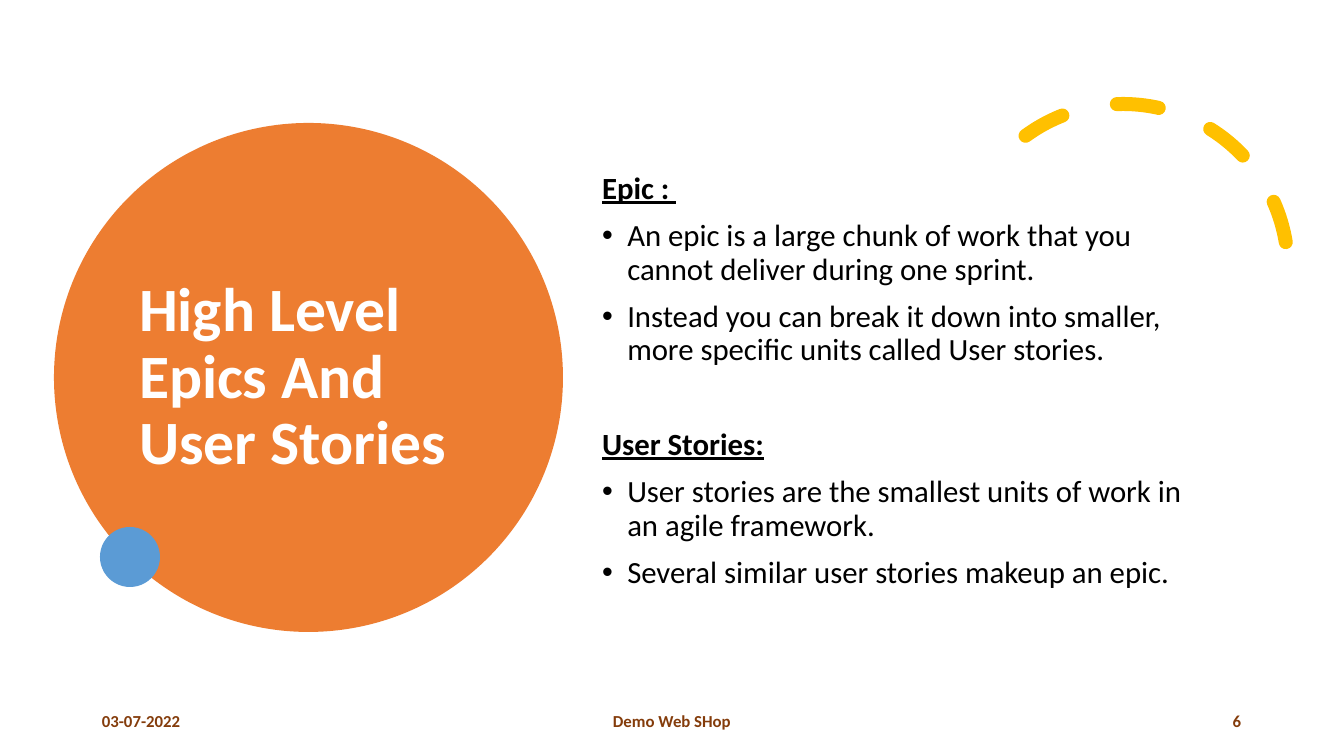
from lxml.etree import SubElement
from pptx import Presentation
from pptx.dml.color import RGBColor
from pptx.enum.dml import MSO_LINE
from pptx.enum.shapes import MSO_SHAPE
from pptx.enum.text import MSO_ANCHOR, MSO_AUTO_SIZE, PP_ALIGN
from pptx.oxml.ns import qn
from pptx.util import Emu, Pt

SCALE = 914400 / 100.8  # EMU per px


def px(*lengths):
    return [Emu(round(length * SCALE)) for length in lengths]


def write(paragraph, text, color, **font_values):
    """Add a Calibri run with the given colour and font attributes."""
    run = paragraph.add_run()
    run.text = text
    run.font.color.rgb = RGBColor.from_string(color)
    for name, value in {"name": "Calibri", **font_values}.items():
        setattr(run.font, name, value)


presentation = Presentation()
presentation.slide_width, presentation.slide_height = px(1344, 756)
slide = presentation.slides.add_slide(presentation.slide_layouts[1])
title, body = slide.placeholders

# Circles, the large one behind the title
circles = []
for left, top, diameter, color in [(54, 123, 509, "ED7D31"), (100, 527, 60, "5B9BD5")]:
    circle = slide.shapes.add_shape(MSO_SHAPE.OVAL, *px(left, top, diameter, diameter))
    circle.shadow.inherit = False
    circle.fill.solid()
    circle.fill.fore_color.rgb = RGBColor.from_string(color)
    circle.line.fill.background()
    circles.append(circle)
title.element.addprevious(circles[0].element)

# Dashed arc
arc = slide.shapes.add_shape(MSO_SHAPE.ARC, *px(958, 104, 330, 330))
arc.shadow.inherit = False
arc.rotation = 330.2
arc.adjustments[0], arc.adjustments[1] = 158.17, 17.81
arc.fill.background()
arc.line.color.rgb = RGBColor.from_string("FFC000")
arc.line.width = Pt(10)
arc.line.dash_style = MSO_LINE.DASH
arc.line._ln.set("cap", "rnd")

# Title and body
for placeholder, box, anchor in [
    (title, (129, 154, 357, 449), MSO_ANCHOR.MIDDLE),
    (body, (592, 168, 610, 433), MSO_ANCHOR.TOP),
]:
    placeholder.left, placeholder.top, placeholder.width, placeholder.height = px(*box)
    frame = placeholder.text_frame
    frame.word_wrap = True
    frame.auto_size = MSO_AUTO_SIZE.NONE
    frame.vertical_anchor = anchor

heading = title.text_frame.paragraphs[0]
heading.alignment = PP_ALIGN.LEFT
heading.line_spacing = 0.9
write(heading, "High Level Epics And User Stories", "FFFFFF", size=Pt(44), bold=True)

sections = [
    ("Epic : ", 10, [
        "An epic is a large chunk of work that you cannot deliver during one sprint.",
        "Instead you can break it down into smaller, more specific units called User stories.",
    ]),
    ("User Stories:", 44, [
        "User stories are the smallest units of work in an agile framework.",
        "Several similar user stories makeup an epic.",
    ]),
]
lines = []
for section, space, points in sections:
    lines.append((section, space, True))
    lines += [(point, 10, False) for point in points]

for index, (text, space, is_heading) in enumerate(lines):
    frame = body.text_frame
    paragraph = frame.add_paragraph() if index else frame.paragraphs[0]
    paragraph.line_spacing = 0.9
    paragraph.space_before = Pt(space)
    properties = paragraph._p.get_or_add_pPr()
    indent = 0 if is_heading else Pt(18)
    properties.set("marL", str(indent))
    properties.set("indent", str(-indent))
    if is_heading:
        SubElement(properties, qn("a:buNone"))
    else:
        SubElement(properties, qn("a:buFont"), typeface="Arial")
        SubElement(properties, qn("a:buChar"), char="•")
    write(paragraph, text, "000000", size=Pt(22), bold=is_heading, underline=is_heading)

# Footer
for text, left, width, alignment in [
    ("03-07-2022", 92, 302, PP_ALIGN.LEFT),
    ("Demo Web SHop", 445, 454, PP_ALIGN.CENTER),
    ("6", 949, 302, PP_ALIGN.RIGHT),
]:
    footer = slide.shapes.add_textbox(*px(left, 701, width, 40))
    footer.text_frame.word_wrap = True
    footer.text_frame.vertical_anchor = MSO_ANCHOR.MIDDLE
    paragraph = footer.text_frame.paragraphs[0]
    paragraph.alignment = alignment
    write(paragraph, text, "843C0B", size=Pt(12), bold=True)

presentation.save("out.pptx")
